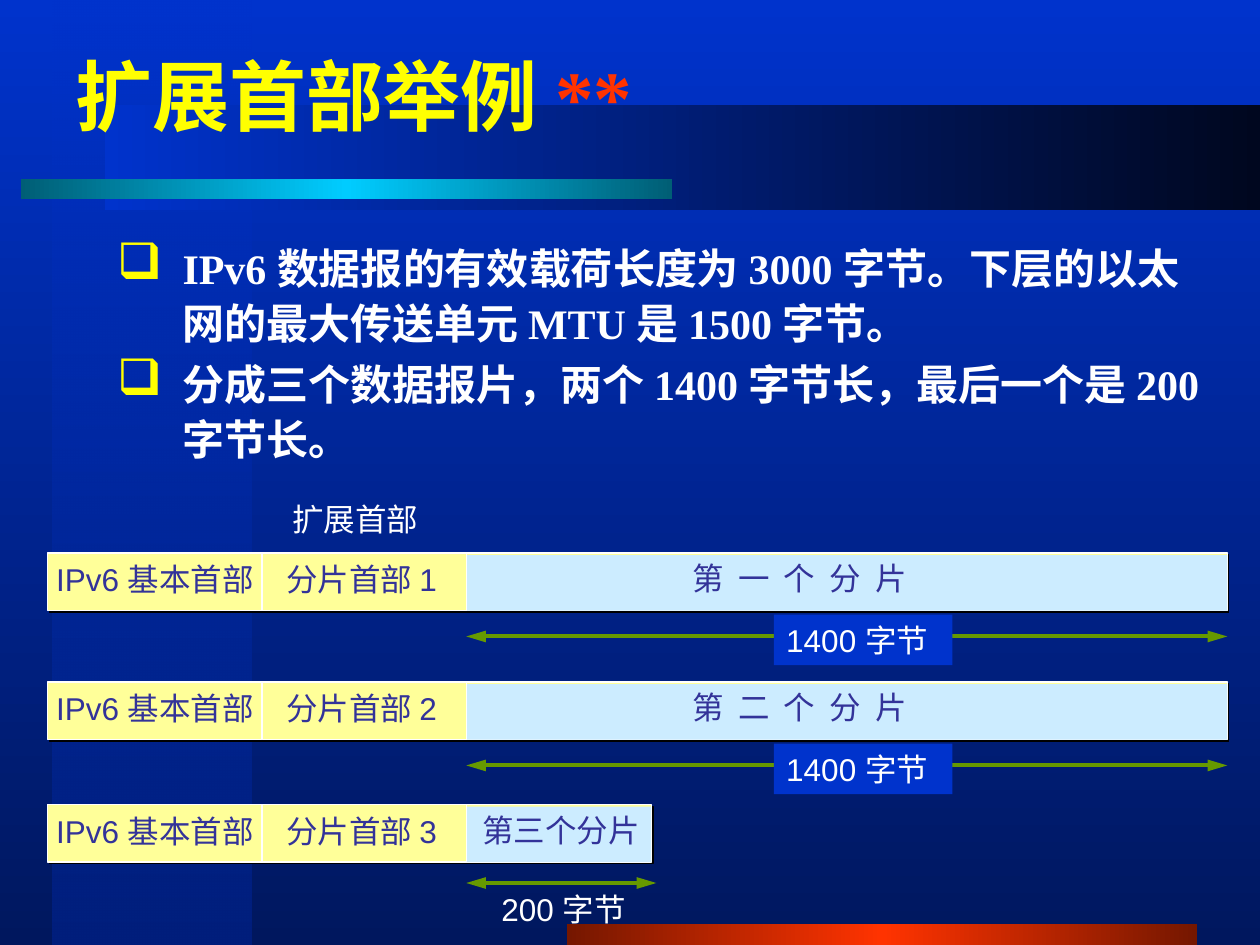
from lxml import etree
from pptx import Presentation
from pptx import util as u
from pptx.dml.color import RGBColor
from pptx.enum import shapes, text
from pptx.oxml.ns import qn


def rgb(code):
    return RGBColor.from_string(code)


def sub(host, tag, **vals):
    node = etree.SubElement(host, qn(tag))
    for key, val in vals.items():
        node.set(key, str(val))
    return node


class Deck:
    label = dict(name="Arial", size=u.Pt(18))
    head = dict(name="Times New Roman", size=u.Pt(44), bold=True)
    body = dict(name="Times New Roman", size=u.Pt(24), bold=True)
    ink, white, green = "333399", "FFFFFF", "669900"
    left, mid = text.PP_ALIGN.LEFT, text.PP_ALIGN.CENTER

    def __init__(self, page):
        self.page = page

    def font(self, font, style, color):
        for key, val in style.items():
            setattr(font, key, val)
        font.color.rgb = rgb(color)

    def blend(self, fill, host, stops, angle):
        fill.gradient()
        node = next(host.iter(qn("a:gradFill")))
        steps = node.find(qn("a:gsLst"))
        for old in list(steps):
            steps.remove(old)
        for pos, color, *alpha in stops:
            stop = sub(steps, "a:gs", pos=pos * 1000)
            tone = sub(stop, "a:srgbClr", val=color)
            if alpha:
                sub(tone, "a:alpha", val=alpha[0] * 1000)
        node.find(qn("a:lin")).set("ang", str(angle * 60000))

    def rect(self, x, y, w, h, fill, line=None, angle=180):
        box = self.page.shapes.add_shape(
            shapes.MSO_SHAPE.RECTANGLE, u.Cm(x), u.Cm(y), u.Cm(w), u.Cm(h))
        box.shadow.inherit = False
        if isinstance(fill, str):
            box.fill.solid()
            box.fill.fore_color.rgb = rgb(fill)
        else:
            self.blend(box.fill, box.element, fill, angle)
        if line:
            box.line.color.rgb = rgb(line)
            box.line.width = u.Pt(0.75)
        else:
            box.line.fill.background()
        return box

    def shade(self, box):
        effect = next(box.element.iter(qn("a:effectLst")))
        drop = sub(effect, "a:outerShdw", blurRad=0, dist=u.Pt(1.4),
                   dir=45 * 60000, algn="ctr", rotWithShape=0)
        sub(drop, "a:srgbClr", val="000000")

    def line(self, x, y, x2, y2, color, width, arrows=False):
        link = self.page.shapes.add_connector(
            shapes.MSO_CONNECTOR.STRAIGHT, u.Cm(x), u.Cm(y), u.Cm(x2), u.Cm(y2))
        link.line.color.rgb = rgb(color)
        link.line.width = u.Pt(width)
        if arrows:
            edge = next(link.element.iter(qn("a:ln")))
            for tag in ("a:headEnd", "a:tailEnd"):
                sub(edge, tag, type="triangle", len="lg")
        sub(link.element.spPr, "a:effectLst")

    def note(self, x, y, w, words, color, align=text.PP_ALIGN.LEFT, fill=None, gap=0):
        box = self.page.shapes.add_textbox(u.Cm(x), u.Cm(y), u.Cm(w), u.Cm(1.02))
        box.text_frame.word_wrap = False
        box.text_frame.auto_size = text.MSO_AUTO_SIZE.SHAPE_TO_FIT_TEXT
        if fill:
            box.fill.solid()
            box.fill.fore_color.rgb = rgb(fill)
        para = box.text_frame.paragraphs[0]
        para.alignment = align
        run = para.add_run()
        run.text = words
        self.font(run.font, self.label, color)
        if gap:
            run.font._element.set("spc", str(gap))

    def title(self, x, y, w, h, parts):
        box = self.page.shapes.title
        box.left, box.top, box.width, box.height = map(u.Cm, (x, y, w, h))
        box.text_frame.auto_size = text.MSO_AUTO_SIZE.NONE
        box.text_frame.vertical_anchor = text.MSO_ANCHOR.MIDDLE
        para = box.text_frame.paragraphs[0]
        para.alignment = self.left
        for words, color in parts:
            run = para.add_run()
            run.text = words
            self.font(run.font, self.head, color)
        # Bring the title in front of the bands
        self.page.shapes._spTree.append(box.element)

    def points(self, x, y, w, h, items):
        box = self.page.shapes.add_textbox(u.Cm(x), u.Cm(y), u.Cm(w), u.Cm(h))
        frame = box.text_frame
        frame.word_wrap = True
        for num, words in enumerate(items):
            para = frame.add_paragraph() if num else frame.paragraphs[0]
            para.line_spacing = 1.1
            para.space_before = u.Pt(3 if num else 0)
            props = para._p.get_or_add_pPr()
            props.set("marL", str(u.Cm(1.32)))
            props.set("indent", str(u.Cm(-1.32)))
            sub(sub(props, "a:buClr"), "a:srgbClr", val="FFFF00")
            sub(props, "a:buSzPct", val=120000)
            sub(props, "a:buChar", char="❑")
            run = para.add_run()
            run.text = words
            self.font(run.font, self.body, self.white)

    def packet(self, y, num, end, words):
        """Draw one datagram fragment: bar, cells, dividers and labels."""
        x, cut, load, high = 0.96, 5.28, 9.4, 1.16
        self.shade(self.rect(x, y, end - x, high, "FFFF99", self.white))
        self.rect(load, y + 0.04, end - load, 1.12, "CCECFF")
        for side in (cut, load):
            self.line(side, y, side, y + high, self.white, 0.75)
        self.note(0.8, y + 0.02, 4.65, "IPv6 基本首部", self.ink, self.mid)
        self.note(5.36, y + 0.02, 3.86, f"分片首部 {num}", self.ink, self.mid)
        wide = " " in words
        self.note(13.72 if wide else 9.47, y, 6.22 if wide else 3.68, words,
                  self.ink, gap=200 if wide else 0)

    def span(self, y, end):
        self.line(9.4, y, end, y, self.green, 2.25, arrows=True)


def main():
    deck = Presentation()
    deck.slide_width, deck.slide_height = u.Cm(25.4), u.Cm(19.05)
    page = deck.slides.add_slide(deck.slide_layouts[5])
    art = Deck(page)

    # Background and bands
    art.blend(page.background.fill, page.element, [(0, "0033CC"), (100, "00175E")], 90)
    art.rect(1.06, 0, 4.01, 19.05, [(0, "0033CC", 50), (100, "001F7D")], angle=90)
    art.rect(11.43, 18.62, 12.7, 0.43,
             [(0, "751700"), (50, "FF3300"), (100, "751700")])
    art.rect(2.12, 2.12, 23.28, 2.12, [(0, "00071F"), (100, "0033CC")])
    art.rect(0.42, 3.6, 13.13, 0.42,
             [(0, "005E75"), (50, "00CCFF"), (100, "005E75")])

    # Title and points
    art.title(1.27, 0.64, 21.59, 2.54, [("扩展首部举例 ", "FFFF01"), ("**", "FF3300")])
    art.points(2.11, 4.66, 22.38, 5.26, [
        "IPv6 数据报的有效载荷长度为 3000 字节。下层的以太网的最大传送单元 MTU 是 1500 字节。",
        "分成三个数据报片，两个 1400 字节长，最后一个是 200 字节长。"])

    # Two full fragments
    art.note(5.64, 9.96, 3.05, "扩展首部", art.white, art.mid)
    full = [(11.15, "第 一 个 分 片"), (13.75, "第 二 个 分 片")]
    for num, (y, words) in enumerate(full, 1):
        art.packet(y, num, 24.74, words)
        art.span(y + 1.68, 24.74)
        art.note(15.6, y + 1.24, 3.6, "1400 字节", art.white, fill="0033CC")

    # Short last fragment
    art.packet(16.22, 3, 13.13, "第三个分片")
    art.span(17.8, 13.23)
    art.note(9.86, 17.81, 3.3, "200 字节", art.white)

    deck.save("out.pptx")


if __name__ == "__main__":
    main()
